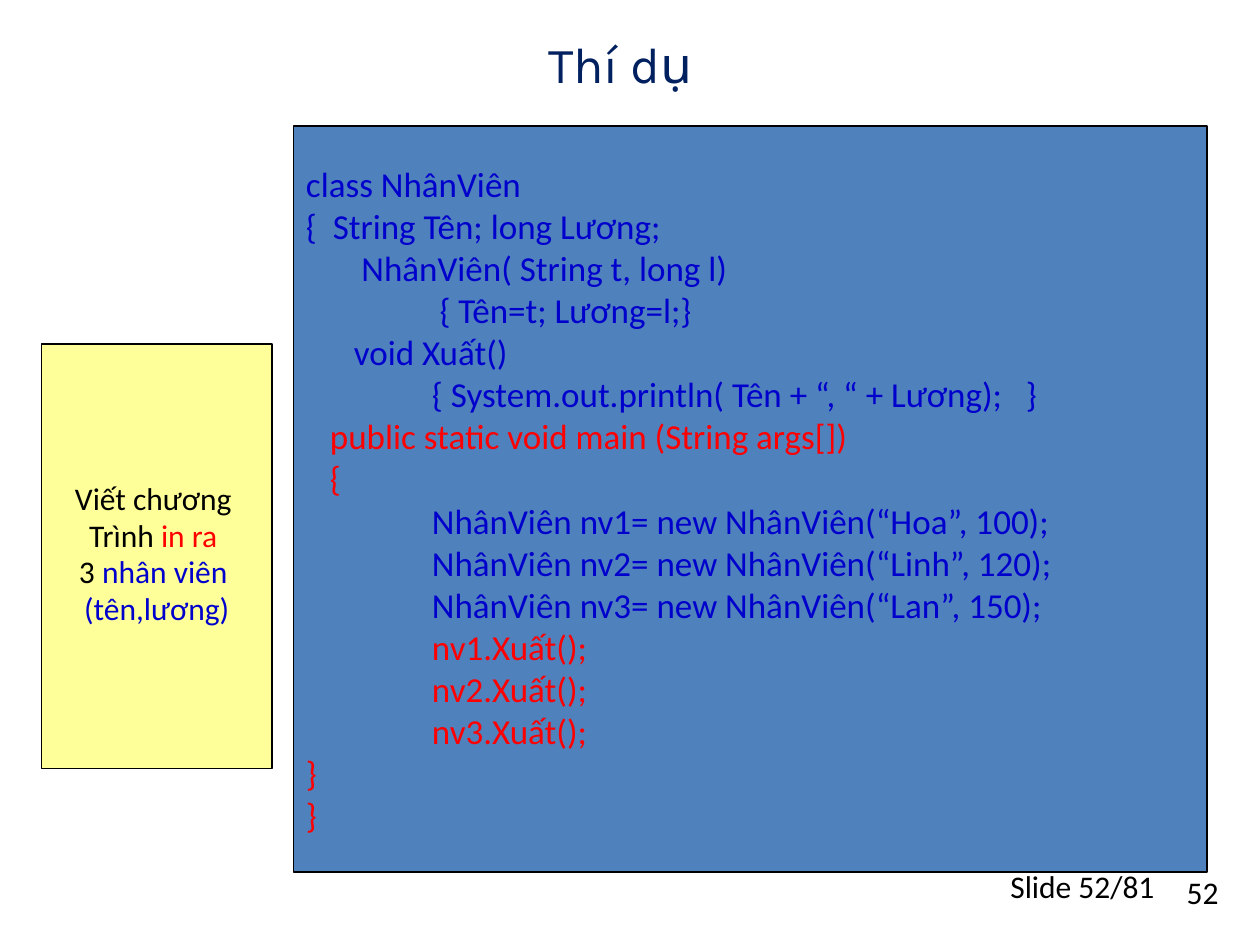
"""Builds the slide with a Java class example beside its task."""
from pptx import Presentation
from pptx.dml.color import RGBColor
from pptx.enum import shapes, text
from pptx.util import Inches, Pt

BLACK = RGBColor(0, 0, 0)
RED = RGBColor(255, 0, 0)
BLUE = RGBColor(0, 0, 0xCC)
NAVY = RGBColor(0, 0x20, 0x60)
YELLOW = RGBColor(255, 255, 0x99)
STEEL = RGBColor(0x4F, 0x81, 0xBD)
LEFT, CENTER, RIGHT = text.PP_ALIGN.LEFT, text.PP_ALIGN.CENTER, text.PP_ALIGN.RIGHT

TASK = [
    [("Viết chương ", BLACK)],
    [("Trình ", BLACK), ("in ra ", RED)],
    [("3 ", BLACK), ("nhân viên ", BLUE)],
    [("(tên,lương)", BLUE)],
]
CODE = [
    (0, "class NhânViên", BLUE),
    (0, "{  String Tên; long Lương;", BLUE),
    (0.44, "NhânViên( String t, long l)", BLUE),
    (1.06, "{ Tên=t; Lương=l;}", BLUE),
    (0.38, "void Xuất()", BLUE),
    (1, "{ System.out.println( Tên + “, “ + Lương);   }", BLUE),
    (0.19, "public static void main (String args[])", RED),
    (0.19, "{", RED),
    (1, "NhânViên nv1= new NhânViên(“Hoa”, 100);", BLUE),
    (1, "NhânViên nv2= new NhânViên(“Linh”, 120);", BLUE),
    (1, "NhânViên nv3= new NhânViên(“Lan”, 150);", BLUE),
    (1, "nv1.Xuất();", RED),
    (1, "nv2.Xuất();", RED),
    (1, "nv3.Xuất();", RED),
    (0, "}", RED),
    (0, "}", RED),
]


def place(shape, left, top, width, height):
    shape.left, shape.top = Inches(left), Inches(top)
    shape.width, shape.height = Inches(width), Inches(height)


def write(shape, lines, size, align, font="Calibri", anchor=text.MSO_ANCHOR.MIDDLE):
    frame = shape.text_frame
    frame.word_wrap = True
    frame.vertical_anchor = anchor
    for index, spans in enumerate(lines):
        para = frame.add_paragraph() if index else frame.paragraphs[0]
        para.alignment = align
        for words, color in spans:
            span = para.add_run()
            span.text = words
            span.font.name = font
            span.font.size = Pt(size)
            span.font.color.rgb = color
    return frame.paragraphs


def add_panel(page, bounds, fill):
    panel = page.shapes.add_shape(shapes.MSO_SHAPE.RECTANGLE, *map(Inches, bounds))
    panel.shadow.inherit = False
    panel.fill.solid()
    panel.fill.fore_color.rgb = fill
    panel.line.color.rgb = BLACK
    panel.line.width = Pt(0.75)
    return panel


def add_label(page, bounds, words, align):
    label = page.shapes.add_textbox(*map(Inches, bounds))
    write(label, [[(words, BLACK)]], 18, align, anchor=text.MSO_ANCHOR.TOP)


deck = Presentation()
deck.slide_width, deck.slide_height = Inches(10), Inches(7.5)
page = deck.slides.add_slide(deck.slide_layouts[5])

add_label(page, (7.89, 6.88, 1.88, 0.4), "52", RIGHT)
add_label(page, (7.92, 6.83, 1.58, 0.52), "Slide 52/81", LEFT)

title = page.shapes.title
place(title, 0.42, 0.25, 9, 0.5)
write(title, [[("Thí dụ", NAVY)]], 28.8, CENTER, "Karla")

task_panel = add_panel(page, (0.33, 2.73, 1.83, 3.37), YELLOW)
for para in write(task_panel, TASK, 18, CENTER):
    para.line_spacing = 0.8
    para.space_before = Pt(3.6)

code_panel = add_panel(page, (2.33, 1, 7.25, 5.92), STEEL)
code_lines = [[(words, color)] for _, words, color in CODE]
for para, (indent, _, _) in zip(write(code_panel, code_lines, 20, LEFT), CODE):
    properties = para._p.get_or_add_pPr()
    properties.set("marL", str(Inches(indent)))
    properties.set("indent", "0")

deck.save("out.pptx")
